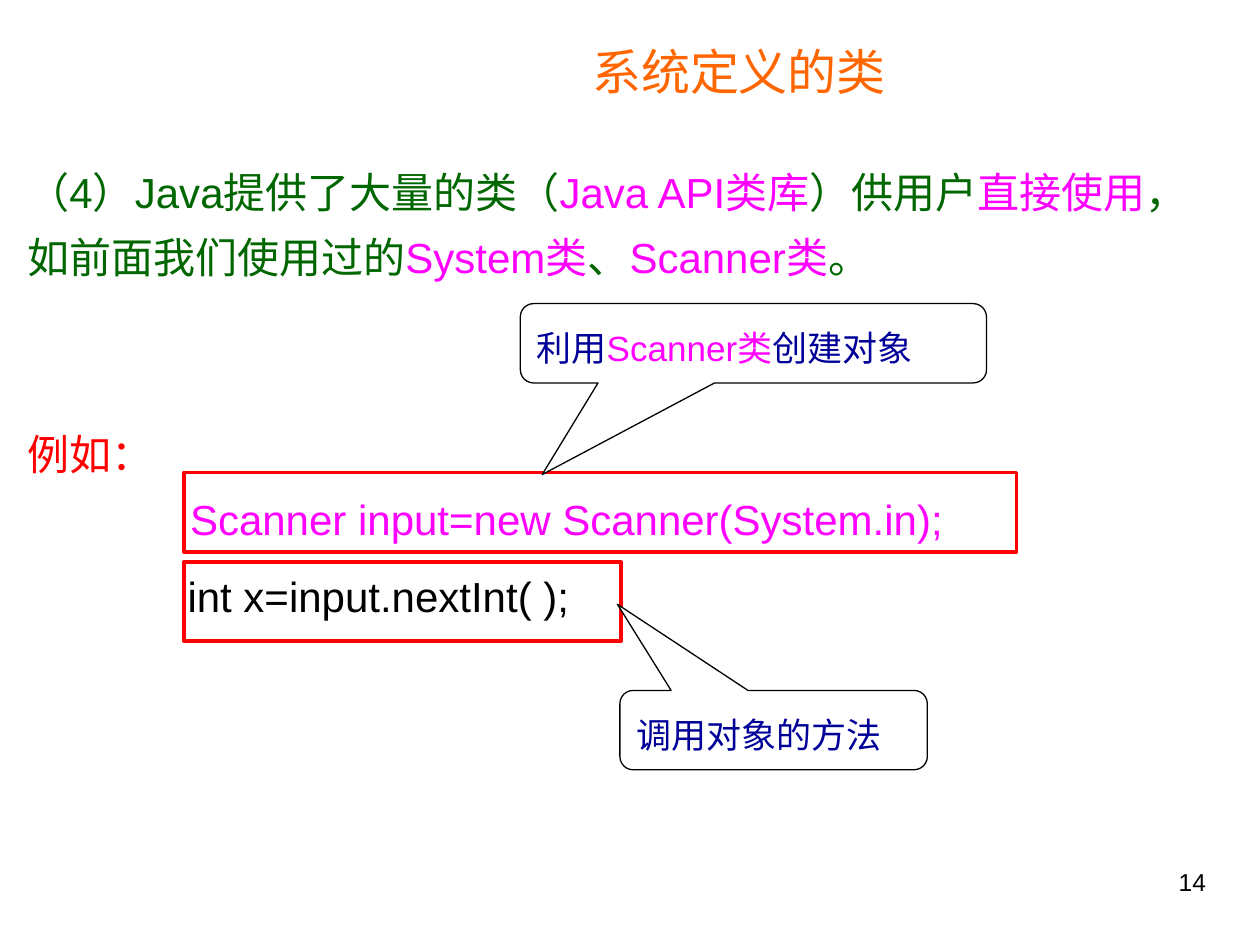
from pptx import Presentation
from pptx import util as u
from pptx.dml.color import RGBColor
from pptx.enum import shapes, text

GREEN, MAGENTA, NAVY = "006600", "FF00FF", "000099"
RED, BLACK, WHITE, ORANGE = "FF0000", "000000", "FFFFFF", "FF6600"


def rgb(value):
    return RGBColor.from_string(value)


def write(paragraph, size, runs, spacing=1.0, align=text.PP_ALIGN.LEFT):
    for words, color in runs:
        run = paragraph.add_run()
        run.text = words
        run.font.color.rgb = rgb(color)
    paragraph.font.size = u.Pt(size)
    paragraph.font.name = "Arial"
    paragraph.line_spacing = spacing
    paragraph.alignment = align


prs = Presentation()
prs.slide_width, prs.slide_height = u.Inches(10), u.Inches(7.5)
slide = prs.slides.add_slide(prs.slide_layouts[5])

# Title
title = slide.shapes.title
title.left, title.top = u.Inches(2.48), u.Inches(0.28)
title.width, title.height = u.Inches(6.77), u.Inches(0.57)
title.text_frame.vertical_anchor = text.MSO_ANCHOR.TOP
title.text_frame.auto_size = text.MSO_AUTO_SIZE.NONE
write(title.text_frame.paragraphs[0], 28, [("系统定义的类", ORANGE)],
      align=text.PP_ALIGN.CENTER)

# Slide number
number = slide.shapes.add_textbox(
    u.Inches(7.17), u.Inches(6.83), u.Inches(2.5), u.Inches(0.52)).text_frame
number.word_wrap = True
write(number.paragraphs[0], 14, [("14", BLACK)], align=text.PP_ALIGN.RIGHT)

# Explanation and code: runs, line spacing, space before (pt), indent (in)
lines = [
    ([("（4）Java提供了大量的类（", GREEN), ("Java API类库", MAGENTA),
      ("）供用户", GREEN), ("直接使用", MAGENTA),
      ("，如前面我们使用过的", GREEN), ("System类", MAGENTA), ("、", GREEN),
      ("Scanner类", MAGENTA), ("。", GREEN)], 1.3, 0, 0),
    ([("例如：", RED)], 1.3, 75, 0),
    ([("Scanner input=new Scanner(System.in);", MAGENTA)], 1.3, 0, 1.29),
    ([("int x=input.nextInt( );", BLACK)], 1.0, 15, 1.27),
]
body = slide.shapes.add_textbox(
    u.Inches(0.12), u.Inches(1.15), u.Inches(9.73), u.Inches(3.83)).text_frame
body.word_wrap = True
for i, (runs, spacing, before, indent) in enumerate(lines):
    paragraph = body.add_paragraph() if i else body.paragraphs[0]
    write(paragraph, 24, runs, spacing)
    if before:
        paragraph.space_before = u.Pt(before)
    if indent:
        paragraph._p.get_or_add_pPr().set("marL", str(u.Inches(indent)))

# Each code line: red frame, then its callout
notes = [
    (3.75, 6.61, (4.13, 2.41, 3.7), (-0.453, 1.654),
     [("利用", NAVY), ("Scanner类", MAGENTA), ("创建对象", NAVY)]),
    (4.46, 3.47, (4.92, 5.48, 2.44), (-0.508, -1.585),
     [("调用对象的方法", NAVY)]),
]
for frame_top, frame_width, (left, top, width), tip, runs in notes:
    frame = slide.shapes.add_shape(
        shapes.MSO_SHAPE.RECTANGLE, u.Inches(1.46), u.Inches(frame_top),
        u.Inches(frame_width), u.Inches(0.63))
    frame.shadow.inherit = False
    frame.fill.background()
    frame.line.color.rgb = rgb(RED)
    frame.line.width = u.Pt(2)

    callout = slide.shapes.add_shape(
        shapes.MSO_SHAPE.ROUNDED_RECTANGULAR_CALLOUT, u.Inches(left),
        u.Inches(top), u.Inches(width), u.Inches(0.63))
    callout.shadow.inherit = False
    callout.adjustments[0], callout.adjustments[1] = tip
    callout.adjustments[2] = 0.167
    callout.fill.solid()
    callout.fill.fore_color.rgb = rgb(WHITE)
    callout.line.color.rgb = rgb(BLACK)
    callout.line.width = u.Pt(0.75)
    callout.text_frame.word_wrap = True
    callout.text_frame.vertical_anchor = text.MSO_ANCHOR.TOP
    write(callout.text_frame.paragraphs[0], 20, runs, 1.3)

prs.save("out.pptx")
